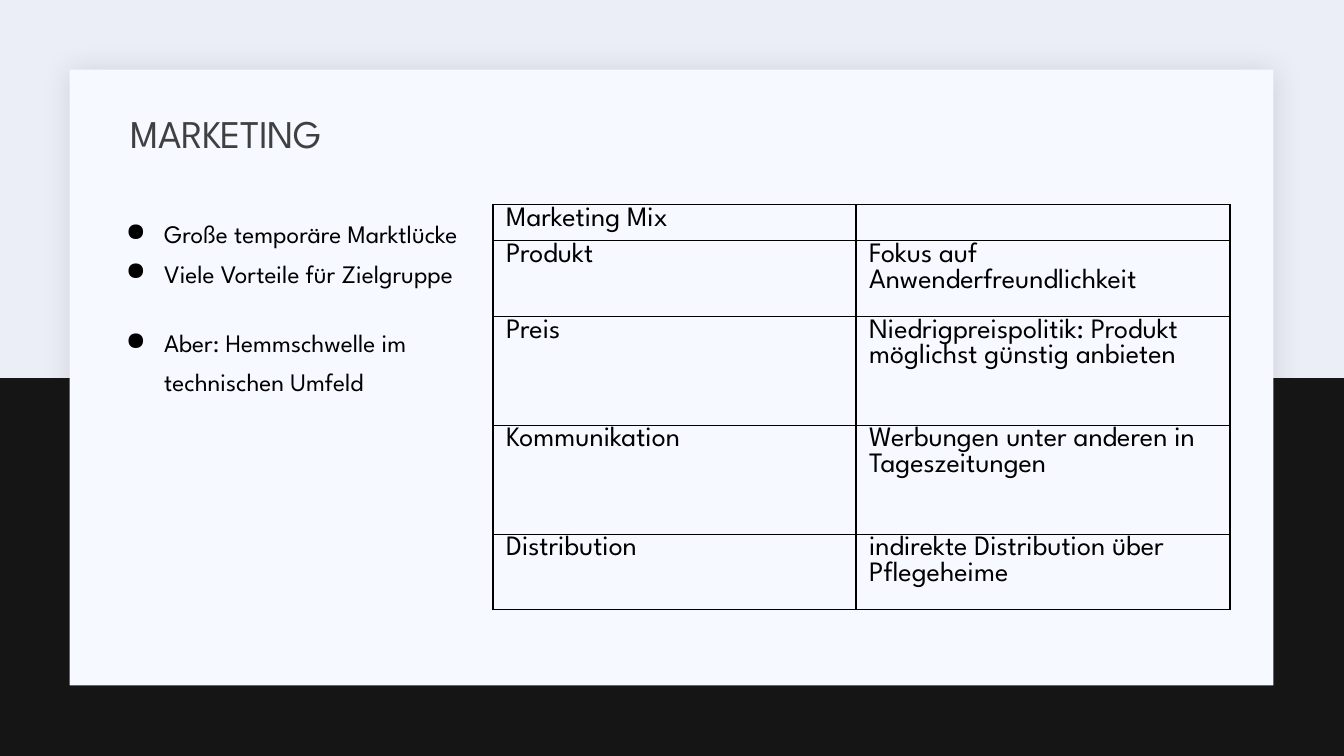
from lxml import etree
from pptx import Presentation
from pptx.dml.color import RGBColor
from pptx.enum.shapes import MSO_SHAPE
from pptx.enum.text import MSO_ANCHOR
from pptx.oxml import parse_xml
from pptx.oxml.ns import nsdecls, qn
from pptx.util import Inches, Pt

RECTANGLE = MSO_SHAPE.RECTANGLE
MIDDLE = MSO_ANCHOR.MIDDLE

BULLETS = [
    "Große temporäre Marktlücke",
    "Viele Vorteile für Zielgruppe",
    "Aber: Hemmschwelle im technischen Umfeld",
]
MARKETING_MIX = [
    ("Marketing Mix", ""),
    ("Produkt", "Fokus auf Anwenderfreundlichkeit"),
    ("Preis", "Niedrigpreispolitik: Produkt möglichst günstig anbieten"),
    ("Kommunikation", "Werbungen unter anderen in Tageszeitungen"),
    ("Distribution", "indirekte Distribution über Pflegeheime"),
]


def color(value):
    return RGBColor.from_string(value)


def apply(target, values):
    for name, value in values.items():
        setattr(target, name, value)


class SlideBuilder:
    font = "League Spartan"
    black = "000000"

    def __init__(self, slide):
        self.slide = slide

    def background(self, fill):
        self.slide.background.fill.solid()
        self.slide.background.fill.fore_color.rgb = color(fill)

    def rectangle(self, box, fill):
        shape = self.slide.shapes.add_shape(RECTANGLE, *map(Inches, box))
        shape.shadow.inherit = False
        shape.fill.solid()
        shape.fill.fore_color.rgb = color(fill)
        shape.line.fill.background()
        return shape

    def soft_shadow(self, shape):
        effects = shape._element.spPr.find(qn("a:effectLst"))
        effects.append(parse_xml(
            f'<a:outerShdw {nsdecls("a")} blurRad="{Pt(20)}" dist="{Pt(2)}" dir="2700000">'
            '<a:srgbClr val="1F2125"><a:alpha val="15000"/></a:srgbClr></a:outerShdw>'))

    def add_text(self, paragraph, text, size, fill=black):
        run = paragraph.add_run()
        run.text = text
        apply(run.font, {"name": self.font, "size": Pt(size)})
        run.font.color.rgb = color(fill)
        return run

    def text_frame(self, box):
        frame = self.slide.shapes.add_textbox(*map(Inches, box)).text_frame
        frame.word_wrap = True
        return frame

    def title(self, box, text):
        frame = self.text_frame(box)
        frame.vertical_anchor = MIDDLE
        paragraph = frame.paragraphs[0]
        paragraph.line_spacing = 0.9
        run = self.add_text(paragraph, text, 28, "404040")
        run.font._element.set("spc", "-50")

    def bullets(self, box, items, size):
        frame = self.text_frame(box)
        for index, item in enumerate(items):
            paragraph = frame.add_paragraph() if index else frame.paragraphs[0]
            paragraph.line_spacing = 1.3
            properties = paragraph._p.get_or_add_pPr()
            properties.set("marL", str(Inches(0.5)))
            properties.set("indent", str(Inches(-0.38)))
            # The last item stands one line apart
            if index == len(items) - 1:
                paragraph.space_before = Pt(21.6)
            etree.SubElement(properties, qn("a:buChar"), char="●")
            self.add_text(paragraph, item, size)

    def cell_borders(self, cell):
        properties = cell._tc.get_or_add_tcPr()
        for index, side in enumerate(("lnL", "lnR", "lnT", "lnB")):
            properties.insert(index, parse_xml(
                f'<a:{side} {nsdecls("a")} w="{Pt(1)}"><a:solidFill>'
                f'<a:srgbClr val="{self.black}"/></a:solidFill></a:{side}>'))

    def table(self, box, rows, widths, heights, size):
        table = self.slide.shapes.add_table(
            len(rows), len(widths), *map(Inches, box)).table
        apply(table, {"first_row": False, "horz_banding": False})
        for column, width in zip(table.columns, widths):
            column.width = Inches(width)
        margins = {"margin_left": Inches(0.13), "margin_right": Inches(0.13),
                   "margin_top": Inches(0.02), "margin_bottom": 0}
        for row, height, texts in zip(table.rows, heights, rows):
            row.height = Inches(height)
            for cell, text in zip(row.cells, texts):
                apply(cell, margins)
                cell.fill.background()
                self.cell_borders(cell)
                if text:
                    self.add_text(cell.text_frame.paragraphs[0], text, size)


def main():
    presentation = Presentation()
    apply(presentation, {"slide_width": Inches(13.33), "slide_height": Inches(7.5)})
    builder = SlideBuilder(presentation.slides.add_slide(presentation.slide_layouts[6]))

    # Backdrop and card
    builder.background("ECEEF7")
    builder.rectangle((0, 3.75, 13.33, 3.75), "141514")
    card = builder.rectangle((0.69, 0.69, 11.94, 6.11), "F6F9FF")
    builder.soft_shadow(card)

    # Title and key points
    builder.title((1.2, 1.03, 11, 0.64), "MARKETING")
    builder.bullets((1.03, 2.03, 3.71, 2.22), BULLETS, 18)

    # Marketing mix table
    builder.table((4.89, 2.03, 7.31, 4.03), MARKETING_MIX,
                  (3.6, 3.71), (0.36, 0.75, 1.08, 1.08, 0.75), 20)

    presentation.save("out.pptx")


if __name__ == "__main__":
    main()
